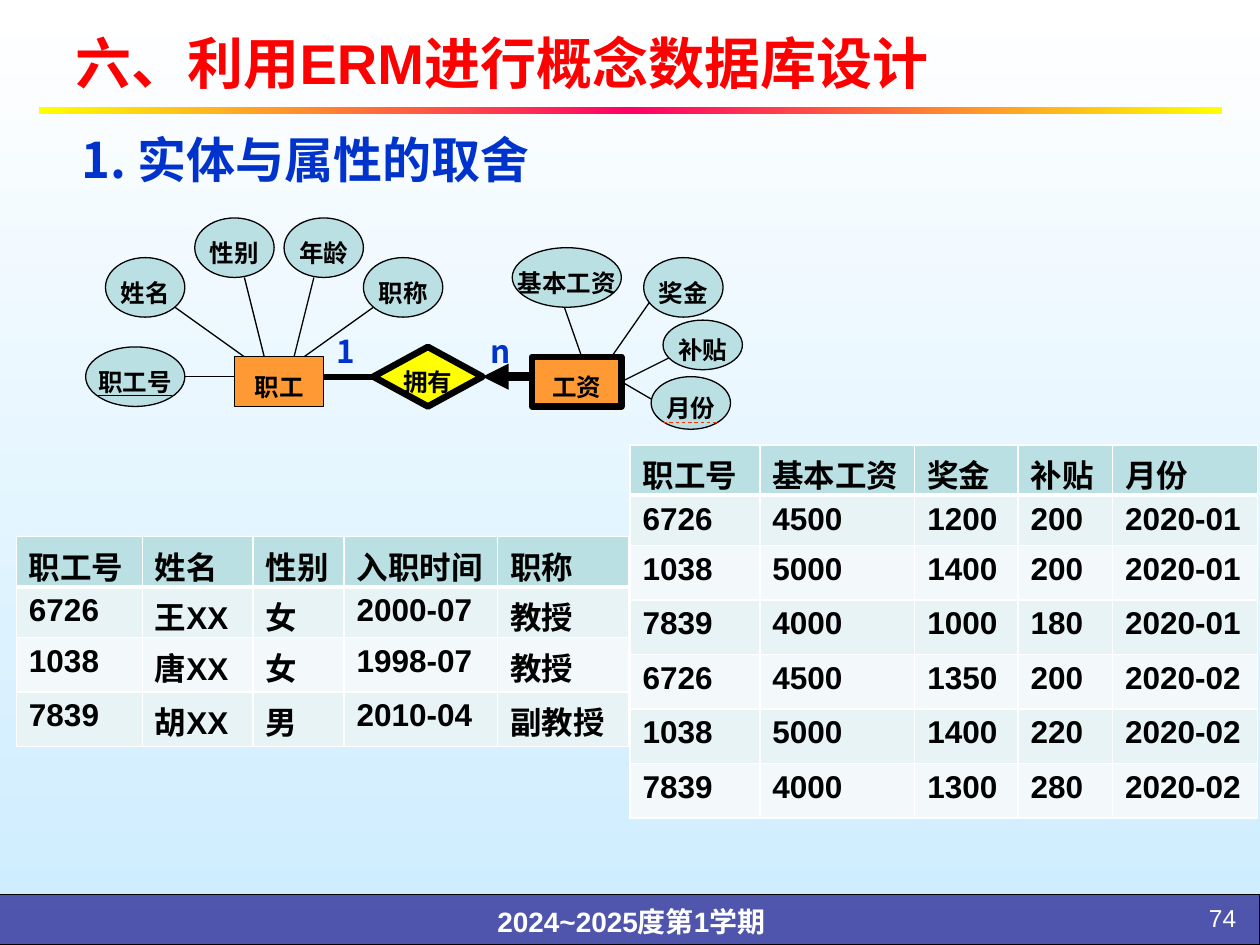
from copy import deepcopy
from dataclasses import dataclass

from lxml.etree import SubElement
from pptx import Presentation
from pptx.dml.color import RGBColor
from pptx.enum.dml import MSO_LINE
from pptx.enum.shapes import MSO_CONNECTOR, MSO_SHAPE
from pptx.enum.text import MSO_ANCHOR, PP_ALIGN
from pptx.oxml.ns import qn
from pptx.util import Cm, Inches, Pt


@dataclass(frozen=True)
class Theme:
    latin: str = "Arial"
    cjk: str = "Noto Sans CJK SC"
    black: str = "000000"
    white: str = "FFFFFF"
    sky: str = "CCECFF"
    red: str = "FF0000"
    blue: str = "0033CC"
    footer: str = "333399"
    yellow: str = "FFFF00"
    pink: str = "FF0066"
    orange: str = "FF9933"
    teal: str = "BBE0E3"
    dash: str = "FF3300"
    bands: tuple = ("E7F3F4", "F3F9FA")
    title: int = 32
    heading: int = 28
    body: int = 18
    term: int = 16
    small: int = 14
    thin: float = 0.75
    thick: float = 3.75
    loose: float = 1.35


THEME = Theme()
WIDTH, HEIGHT = Inches(10), Inches(7.5)
# Origin and step of the diagram grid
LEFT, TOP, STEP = Inches(0.68), Inches(1.73), Cm(0.2)


def share(x, y, w, h):
    """Percentages of the slide's width and height."""
    return [round(v * side / 100) for v, side in zip((x, y, w, h), (WIDTH, HEIGHT) * 2)]


def point(column, row):
    return round(LEFT + column * STEP), round(TOP + row * STEP)


def cells(column, row, columns, rows):
    return *point(column, row), round(columns * STEP), round(rows * STEP)


def rgb(value):
    return RGBColor.from_string(value)


def gradient(fill, element, colors, angle):
    fill.gradient()
    fill.gradient_angle = angle
    stop_list = next(element.iter(qn("a:gsLst")))
    for _ in colors[2:]:
        stop_list.append(deepcopy(stop_list[0]))
    for index, (stop, color) in enumerate(zip(fill.gradient_stops, colors)):
        stop.position = index / (len(colors) - 1)
        stop.color.rgb = rgb(color)


def write(para, text, size, color=THEME.black, font=THEME.latin, bold=True, underline=False):
    span = para.add_run()
    span.text = text
    span.font.size, span.font.bold, span.font.name = Pt(size), bold, font
    span.font.color.rgb = rgb(color)
    if underline:
        span.font.underline = True
    SubElement(span.font._element, qn("a:ea"), typeface=THEME.cjk)


def add_text(page, at, text, size, color, align=PP_ALIGN.LEFT, spacing=None,
             anchor=MSO_ANCHOR.TOP, wrap=True, **style):
    frame = page.shapes.add_textbox(*at).text_frame
    frame.word_wrap, frame.vertical_anchor = wrap, anchor
    para = frame.paragraphs[0]
    para.alignment, para.line_spacing = align, spacing
    write(para, text, size, color, **style)


def add_block(page, preset, at, color=None, line=None):
    block = page.shapes.add_shape(preset, *at)
    block.shadow.inherit = False
    if color:
        block.fill.solid()
        block.fill.fore_color.rgb = rgb(color)
    if line:
        block.line.color.rgb = rgb(THEME.black)
        block.line.width = Pt(line)
    else:
        block.line.fill.background()
    return block


def add_node(page, preset, at, text, color, line=THEME.thin, underline=False):
    node = add_block(page, preset, cells(*at), color, line)
    frame = node.text_frame
    frame.word_wrap, frame.vertical_anchor = False, MSO_ANCHOR.MIDDLE
    para = frame.paragraphs[0]
    para.alignment, para.line_spacing = PP_ALIGN.CENTER, THEME.loose
    write(para, text, THEME.small, underline=underline)
    return node


def add_link(page, start, end, width=THEME.thin, color=THEME.black):
    link = page.shapes.add_connector(MSO_CONNECTOR.STRAIGHT, *point(*start), *point(*end))
    link.line.color.rgb = rgb(color)
    link.line.width = Pt(width)
    SubElement(link._element.spPr, qn("a:effectLst"))
    return link


def add_border(cell, bottom):
    properties = cell._tc.get_or_add_tcPr()
    for index, (side, width) in enumerate((("L", 1), ("R", 1), ("T", 1), ("B", bottom))):
        edge = properties.makeelement(qn(f"a:ln{side}"), {"w": str(Pt(width))})
        solid = SubElement(edge, qn("a:solidFill"))
        SubElement(solid, qn("a:srgbClr"), val=THEME.white)
        properties.insert(index, edge)


def add_records(page, x, y, widths, records):
    heights = [5.33, 5.33] + [5.77] * (len(records) - 2)
    frame = page.shapes.add_table(len(records), len(widths),
                                  *share(x, y, sum(widths), sum(heights)))
    table = frame.table
    for column, width in zip(table.columns, widths):
        column.width = round(width * WIDTH / 100)
    for r, (record, height) in enumerate(zip(records, heights)):
        table.rows[r].height = round(height * HEIGHT / 100)
        for c, text in enumerate(record.split()):
            cell = table.cell(r, c)
            cell.margin_bottom = 0
            cell.fill.solid()
            cell.fill.fore_color.rgb = rgb(THEME.bands[(r - 1) % 2] if r else THEME.teal)
            add_border(cell, 1 if r else 3)
            write(cell.text_frame.paragraphs[0], text, THEME.body)


def add_frame(page):
    # Background, footer band and rule under the title
    gradient(page.background.fill, page._element, (THEME.white, THEME.sky), 270)
    band = add_block(page, MSO_SHAPE.RECTANGLE, share(-0.1, 94.67, 100.1, 5.33),
                     THEME.footer, THEME.thin)
    tint = next(band._element.spPr.iter(qn("a:srgbClr")))
    SubElement(tint, qn("a:alpha"), val="81000")
    add_text(page, share(26.9, 94.4, 46.4, 5.6), "2024~2025度第1学期", THEME.term,
             THEME.white, PP_ALIGN.CENTER, 1.2)
    rule = add_block(page, MSO_SHAPE.RECTANGLE, share(3.1, 11.33, 93.9, 0.8))
    gradient(rule.fill, rule._element, (THEME.yellow, THEME.pink, THEME.yellow), 0)
    add_text(page, share(89.4, 94.93, 9.7, 4), "74", THEME.small, THEME.white,
             PP_ALIGN.RIGHT, bold=False)


def add_diagram(page):
    # Links that end on the outline of an attribute or at a corner region
    for start, end in (((10, 16), (15, 16)), ((9, 9), (16, 14)), ((29, 9), (22, 14)),
                       ((16, 6), (18, 14)), ((23, 6), (21, 14)),
                       ((57, 8.25), (53, 14)), ((48.25, 9), (50, 14))):
        add_link(page, start, end)

    # Entities and their relationship
    add_node(page, MSO_SHAPE.RECTANGLE, (15, 14, 9, 5), "职工", THEME.orange)
    owns = add_node(page, MSO_SHAPE.DIAMOND, (29, 13, 11, 6), "拥有", THEME.yellow, THEME.thick)
    salary = add_node(page, MSO_SHAPE.RECTANGLE, (45, 14, 9, 5), "工资", THEME.orange, THEME.thick)
    add_link(page, (24, 16), (29, 16), 3.25).end_connect(owns, 1)
    arrow = add_link(page, (40, 16), (45, 16), 5)
    arrow.begin_connect(owns, 3)
    SubElement(arrow.line._get_or_add_ln(), qn("a:headEnd"), type="triangle")
    for end in ((59, 14), (57, 18.25)):
        add_link(page, (54, 16.5), end).begin_connect(salary, 3)

    # Attributes
    for text, *at in (("职工号", 0, 13, 10, 6), ("姓名", 2, 4, 8, 6), ("性别", 11, 0, 8, 6),
                      ("年龄", 20, 0, 8, 6), ("职称", 28, 4, 8, 6), ("基本工资", 43, 3, 11, 6),
                      ("奖金", 56.25, 4, 8, 6), ("补贴", 58.2, 10.3, 8, 5),
                      ("月份", 57, 16, 8, 5.3)):
        add_node(page, MSO_SHAPE.OVAL, at, text, THEME.teal, underline=text == "职工号")
    partial_key = add_link(page, (58.2, 20.6), (63.75, 20.6), 0.5, THEME.dash)
    partial_key.line.dash_style = MSO_LINE.DASH

    # Cardinalities
    for text, column in (("1", 24), ("n", 39.6)):
        add_text(page, cells(column, 9.5, 5.3, 6.4), text, THEME.body, THEME.blue,
                 spacing=THEME.loose, font=THEME.cjk)


def main():
    deck = Presentation()
    deck.slide_width, deck.slide_height = WIDTH, HEIGHT
    page = deck.slides.add_slide(deck.slide_layouts[6])
    add_frame(page)
    add_diagram(page)

    # Employee and salary records
    add_records(page, 1.3, 56.8, (10, 8.8, 7.2, 12.2, 10.4), (
        "职工号 姓名 性别 入职时间 职称",
        "6726 王XX 女 2000-07 教授",
        "1038 唐XX 女 1998-07 教授",
        "7839 胡XX 男 2010-04 副教授"))
    add_records(page, 50, 47.07, (10.3, 12.3, 8.2, 7.5, 11.5), (
        "职工号 基本工资 奖金 补贴 月份",
        "6726 4500 1200 200 2020-01",
        "1038 5000 1400 200 2020-01",
        "7839 4000 1000 180 2020-01",
        "6726 4500 1350 200 2020-02",
        "1038 5000 1400 220 2020-02",
        "7839 4000 1300 280 2020-02"))

    # Headings
    add_text(page, share(5.5, 13.07, 39.2, 7.6), "1. 实体与属性的取舍", THEME.heading,
             THEME.blue, wrap=False, font=THEME.cjk)
    add_text(page, share(5, 1.47, 90, 10.13), "六、利用ERM进行概念数据库设计", THEME.title,
             THEME.red, anchor=MSO_ANCHOR.MIDDLE)
    deck.save("out.pptx")


if __name__ == "__main__":
    main()
